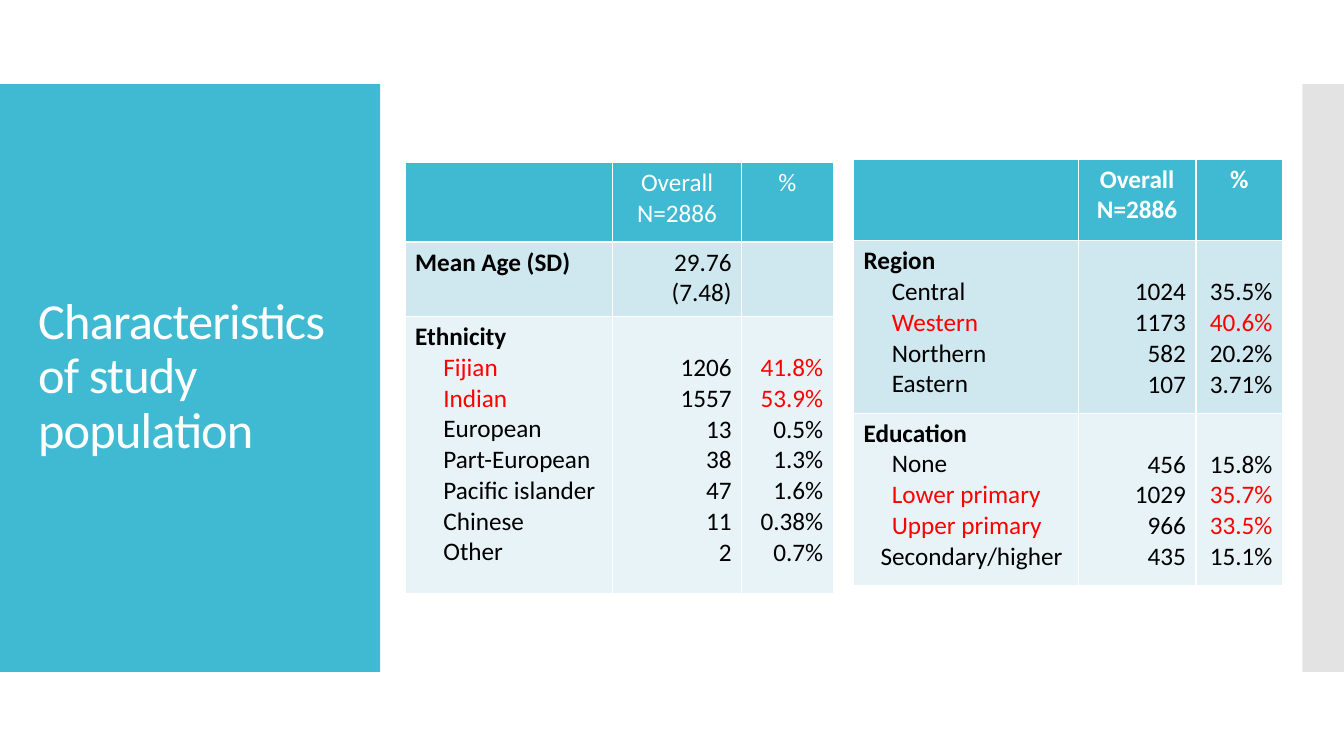
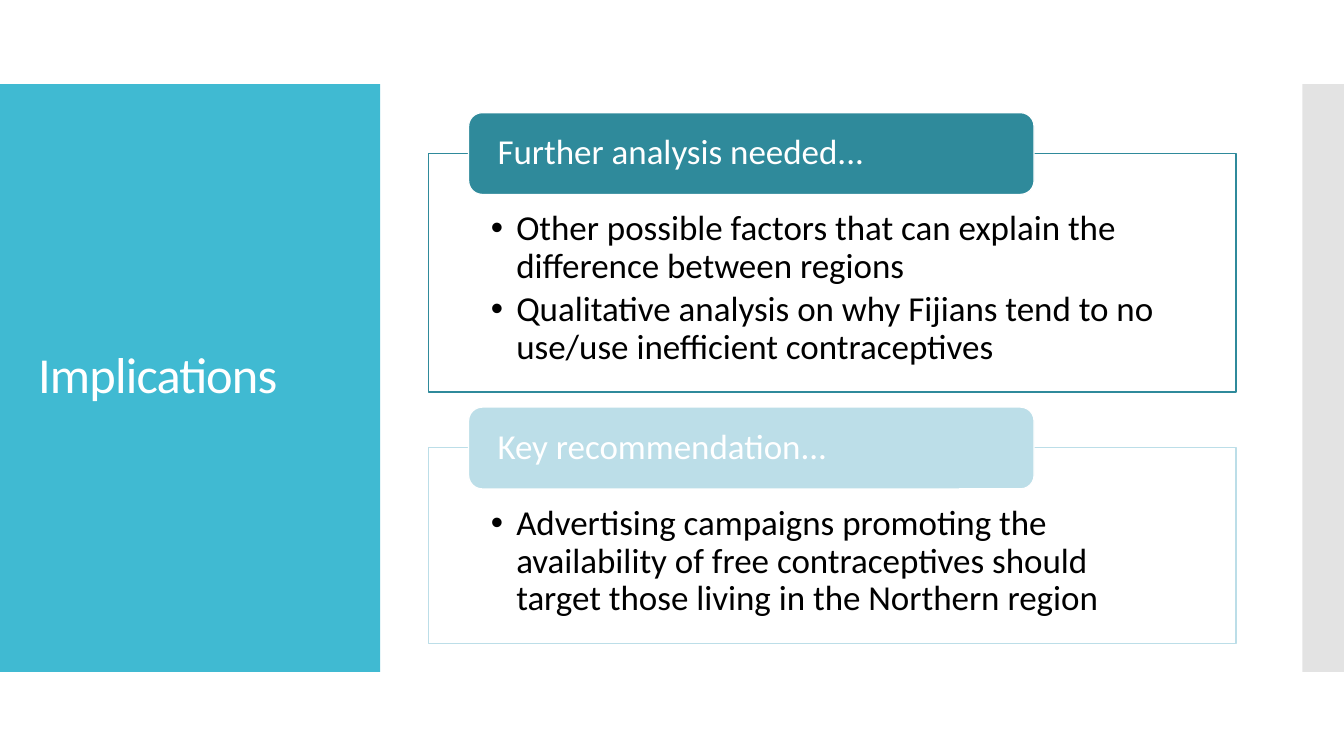
from dataclasses import dataclass

from lxml.etree import SubElement
from pptx import Presentation
from pptx.dml.color import RGBColor
from pptx.enum.shapes import MSO_SHAPE
from pptx.enum.text import MSO_ANCHOR, MSO_AUTO_SIZE, PP_ALIGN
from pptx.oxml.ns import qn
from pptx.util import Cm, Pt


@dataclass(frozen=True)
class Theme:
    font: str = "Calibri"
    white: str = "FFFFFF"
    ink: str = "000000"
    accent: str = "40BAD2"
    side: str = "C8C8C8"
    marked: str = "FF0000"
    rows: tuple[str, str] = ("CFE7EE", "E8F3F7")
    dark: str = "2F8A9B"
    pale: str = "BCDEE8"
    title_size: float = 36
    panel_size: float = 25
    table_size: float = 18
    outline: float = 0.85


@dataclass(frozen=True)
class Area:
    left: float
    top: float
    width: float
    height: float


@dataclass(frozen=True)
class Band:
    area: Area
    color: str
    opacity: int


@dataclass(frozen=True)
class Item:
    label: str
    count: str
    share: str
    marked: bool = False
    indent: float = 0.71


@dataclass(frozen=True)
class Group:
    heading: str
    items: tuple[Item, ...] = ()
    summary: str = ""


@dataclass(frozen=True)
class Summary:
    left: float
    top: float
    columns: tuple[float, ...]
    rows: tuple[float, ...]
    bold_header: bool
    groups: tuple[Group, ...]


@dataclass(frozen=True)
class Panel:
    heading: str
    points: tuple[str, ...]
    color: str
    top: float
    height: float


THEME = Theme()
TITLE_AREA = Area(0.71, 3.12, 8.18, 12.78)
BANDS = (
    Band(Area(0, 2.12, 9.58, 14.81), THEME.accent, 100),
    Band(Area(32.82, 2.12, 1.05, 14.81), THEME.side, 50),
)
HEADER = ((), ("Overall", "N=2886"), ("%",))
CELL_MARGIN = 0.13
TABLE_LINE = 0.775

AGE_AND_ETHNICITY = Summary(
    10.21, 4.09, (5.23, 3.25, 2.31), (2.01, 1.88, 6.98), False,
    (
        Group("Mean Age (SD)", summary="29.76 (7.48)"),
        Group("Ethnicity", (
            Item("Fijian", "1206", "41.8%", marked=True),
            Item("Indian", "1557", "53.9%", marked=True),
            Item("European", "13", "0.5%"),
            Item("Part-European", "38", "1.3%"),
            Item("Pacific islander", "47", "1.6%"),
            Item("Chinese", "11", "0.38%"),
            Item("Other", "2", "0.7%"),
        )),
    ),
)
REGION_AND_EDUCATION = Summary(
    21.51, 4.01, (5.66, 2.97, 2.18), (2.06, 4.34, 4.34), True,
    (
        Group("Region", (
            Item("Central", "1024", "35.5%"),
            Item("Western", "1173", "40.6%", marked=True),
            Item("Northern", "582", "20.2%"),
            Item("Eastern", "107", "3.71%"),
        )),
        Group("Education", (
            Item("None", "456", "15.8%"),
            Item("Lower primary", "1029", "35.7%", marked=True),
            Item("Upper primary", "966", "33.5%", marked=True),
            Item("Secondary/higher", "435", "15.1%", indent=0.43),
        )),
    ),
)
PANELS = (
    Panel("Further analysis needed...", (
        "Other possible factors that can explain the difference\u00a0between regions",
        "Qualitative analysis on why Fijians tend to no use/use\u00a0inefficient contraceptives",
    ), THEME.dark, 3.86, 6.02),
    Panel("Key recommendation...", (
        "Advertising campaigns promoting the availability of free contraceptives "
        "should target those living in the Northern region",
    ), THEME.pale, 11.28, 4.93),
)


def write(frame, text: str, *, size: float, color: str = THEME.ink, bold: bool = False,
          align=PP_ALIGN.LEFT, indent: float = 0, bullet: str = "",
          line_spacing: float = 1.0, after: float = 0, tracking: int = 0) -> None:
    para = frame.paragraphs[0]
    if para.runs:
        para = frame.add_paragraph()
    para.alignment = align
    para.line_spacing = line_spacing
    para.space_before = Pt(0)
    para.space_after = Pt(after)
    properties = para._p.get_or_add_pPr()
    properties.set("marL", str(Cm(indent)))
    properties.set("indent", str(-Cm(indent) if bullet else 0))
    if bullet:
        SubElement(properties, qn("a:buChar")).set("char", bullet)
    span = para.add_run()
    span.text = text
    span.font.name = THEME.font
    span.font.size = Pt(size)
    span.font.bold = bold
    span.font.color.rgb = RGBColor.from_string(color)
    if tracking:
        span._r.get_or_add_rPr().set("spc", str(tracking))


def place(box, area: Area) -> None:
    box.left, box.top = Cm(area.left), Cm(area.top)
    box.width, box.height = Cm(area.width), Cm(area.height)


def paint(box, fill: str, line: str = "") -> None:
    box.fill.solid()
    box.fill.fore_color.rgb = RGBColor.from_string(fill)
    if line:
        box.line.color.rgb = RGBColor.from_string(line)
        box.line.width = Pt(THEME.outline)
    else:
        box.line.fill.background()


def set_insets(frame, left: float, top: float, right: float, bottom: float) -> None:
    frame.word_wrap = True
    frame.auto_size = MSO_AUTO_SIZE.NONE
    frame.margin_left, frame.margin_top = Cm(left), Cm(top)
    frame.margin_right, frame.margin_bottom = Cm(right), Cm(bottom)


def add_box(page, kind, area: Area, fill: str, line: str = ""):
    box = page.shapes.add_shape(kind, Cm(area.left), Cm(area.top), Cm(area.width), Cm(area.height))
    box.shadow.inherit = False
    paint(box, fill, line)
    return box


def add_page(deck, layout_name: str, title: str):
    layout = deck.slide_layouts.get_by_name(layout_name)
    page = deck.slides.add_slide(layout)
    for index, band in enumerate(BANDS):
        box = add_box(page, MSO_SHAPE.RECTANGLE, band.area, band.color)
        color = box.element.spPr.find(qn("a:solidFill"))[0]
        SubElement(color, qn("a:alpha")).set("val", str(band.opacity * 1000))
        box.element.nvSpPr.cNvPr.id = 100 + index
        layout.element.cSld.spTree.insert(2 + index, box.element)
    heading = page.shapes.title
    place(heading, TITLE_AREA)
    set_insets(heading.text_frame, 0.25, 0.13, 0.25, 0.13)
    heading.text_frame.vertical_anchor = MSO_ANCHOR.MIDDLE
    write(heading.text_frame, title, size=THEME.title_size, color=THEME.white,
          line_spacing=0.9, tracking=-60)
    return page


def style_cell(cell, fill: str) -> None:
    properties = cell._tc.get_or_add_tcPr()
    for side in ("lnL", "lnR", "lnT", "lnB"):
        border = SubElement(properties, qn(f"a:{side}"))
        border.set("w", str(Pt(1)))
        SubElement(SubElement(border, qn("a:solidFill")), qn("a:srgbClr")).set("val", THEME.white)
    cell.fill.solid()
    cell.fill.fore_color.rgb = RGBColor.from_string(fill)


def fill_group(cells, group: Group) -> None:
    label, count, share = cells
    size = THEME.table_size
    write(label.text_frame, group.heading, size=size, bold=True)
    if group.summary:
        write(count.text_frame, group.summary, size=size, align=PP_ALIGN.RIGHT)
    if group.items:
        for cell in (count, share):
            cell.margin_top = Cm(CELL_MARGIN + TABLE_LINE)
    for item in group.items:
        color = THEME.marked if item.marked else THEME.ink
        write(label.text_frame, item.label, size=size, color=color, indent=item.indent)
        write(count.text_frame, item.count, size=size, align=PP_ALIGN.RIGHT)
        write(share.text_frame, item.share, size=size, color=color, align=PP_ALIGN.RIGHT)


def add_summary(page, summary: Summary) -> None:
    table = page.shapes.add_table(
        len(summary.rows), len(summary.columns), Cm(summary.left), Cm(summary.top),
        Cm(sum(summary.columns)), Cm(sum(summary.rows))).table
    for column, width in zip(table.columns, summary.columns):
        column.width = Cm(width)
    for row, height, fill in zip(table.rows, summary.rows, (THEME.accent, *THEME.rows)):
        row.height = Cm(height)
        for cell in row.cells:
            style_cell(cell, fill)
    for cell, lines in zip(table.rows[0].cells, HEADER):
        for line in lines:
            write(cell.text_frame, line, size=THEME.table_size, color=THEME.white,
                  bold=summary.bold_header, align=PP_ALIGN.CENTER)
    for index, group in enumerate(summary.groups, start=1):
        fill_group(tuple(table.rows[index].cells), group)


def add_panel(page, body, panel: Panel) -> None:
    place(body, Area(10.8, panel.top, 20.35, panel.height))
    paint(body, THEME.white, panel.color)
    set_insets(body.text_frame, 1.57, 1.45, 1.57, 0.48)
    body.text_frame.vertical_anchor = MSO_ANCHOR.TOP
    for point in panel.points:
        write(body.text_frame, point, size=THEME.panel_size, indent=0.64, bullet="•",
              line_spacing=0.9, after=3.75)
    tab = add_box(page, MSO_SHAPE.ROUNDED_RECTANGLE,
                  Area(11.81, panel.top - 1.02, 14.25, 2.06), panel.color, THEME.white)
    set_insets(tab.text_frame, 0.63, 0, 0.63, 0)
    tab.text_frame.vertical_anchor = MSO_ANCHOR.MIDDLE
    write(tab.text_frame, panel.heading, size=THEME.panel_size, color=THEME.white,
          line_spacing=0.9)


def build() -> None:
    deck = Presentation()
    deck.slide_width, deck.slide_height = Cm(33.87), Cm(19.05)
    population = add_page(deck, "Title Only", "Characteristics of study population")
    for summary in (AGE_AND_ETHNICITY, REGION_AND_EDUCATION):
        add_summary(population, summary)
    implications = add_page(deck, "Two Content", "Implications")
    bodies = [box for box in implications.placeholders if box.placeholder_format.idx in (1, 2)]
    for body, panel in zip(bodies, PANELS):
        add_panel(implications, body, panel)
    deck.save("out.pptx")


build()
